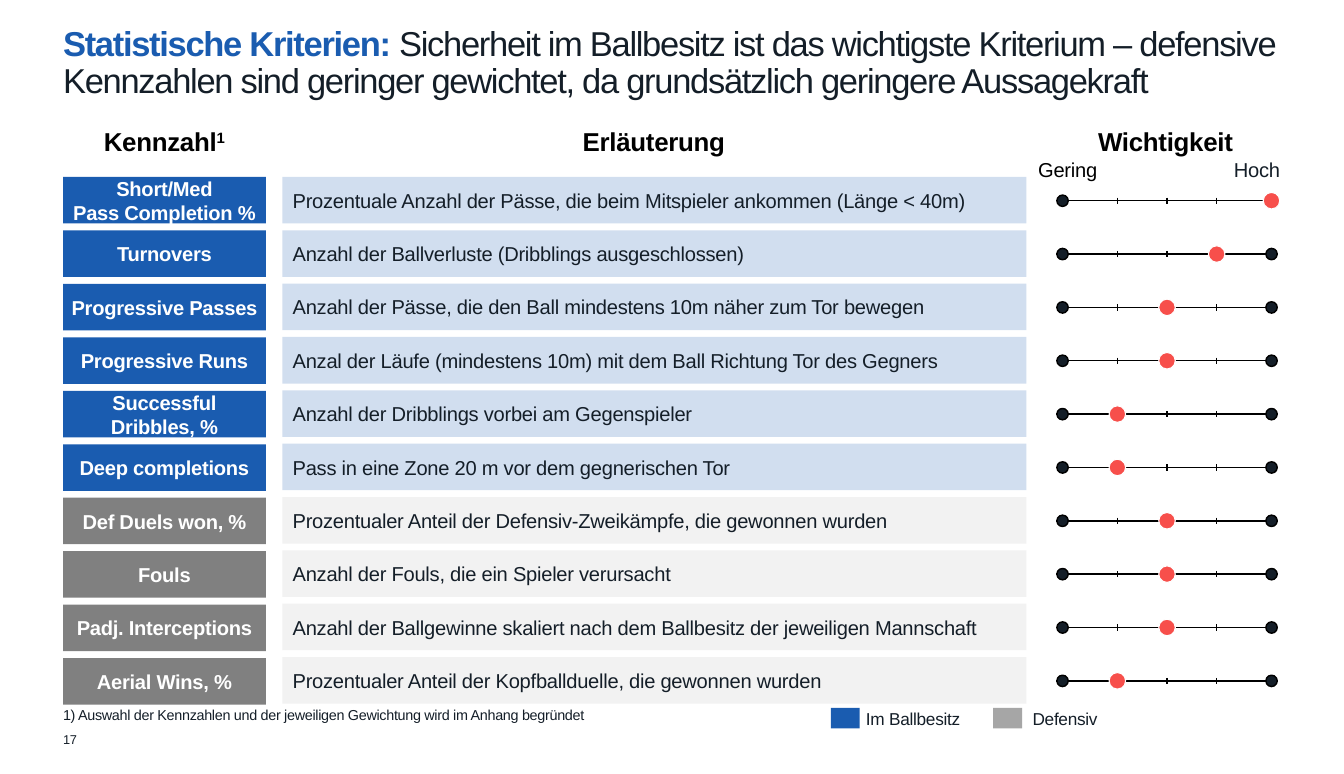
from copy import deepcopy

from lxml.etree import SubElement
from pptx import Presentation
from pptx.dml.color import RGBColor
from pptx.enum.shapes import MSO_CONNECTOR, MSO_SHAPE
from pptx.enum.text import MSO_ANCHOR, MSO_AUTO_SIZE, PP_ALIGN
from pptx.oxml.ns import qn
from pptx.util import Inches, Pt

BLUE, GREY, LIGHT_GREY, LEGEND_GREY = "1A5CB0", "808080", "BFBFBF", "A6A6A6"
INK, BLACK, WHITE, RED = "141E28", "000000", "FFFFFF", "F74F4B"

TITLE = [
    ("Statistische Kriterien: ", {"color": BLUE, "bold": True}),
    ("Sicherheit im Ballbesitz ist das wichtigste Kriterium – defensive Kennzahlen "
     "sind geringer gewichtet, da grundsätzlich geringere Aussagekraft", {}),
]
HEADERS = [  # left, width, text, superscript
    (0.61, 1.96, "Kennzahl", "1"),
    (2.73, 7.18, "Erläuterung", ""),
    (10.15, 2.23, "Wichtigkeit", ""),
]
POSSESSION, DEFENSIVE = (BLUE, BLUE), (GREY, LIGHT_GREY)  # label fill, explanation tint
CRITERIA = [  # label, explanation, importance (0 to 4), category
    ("Short/Med\vPass Completion %",
     "Prozentuale Anzahl der Pässe, die beim Mitspieler ankommen (Länge < 40m)", 4, POSSESSION),
    ("Turnovers", "Anzahl der Ballverluste (Dribblings ausgeschlossen)", 3, POSSESSION),
    ("Progressive Passes",
     "Anzahl der Pässe, die den Ball mindestens 10m näher zum Tor bewegen", 2, POSSESSION),
    ("Progressive Runs",
     "Anzal der Läufe (mindestens 10m) mit dem Ball Richtung Tor des Gegners", 2, POSSESSION),
    ("Successful\vDribbles, %", "Anzahl der Dribblings vorbei am Gegenspieler", 1, POSSESSION),
    ("Deep completions", "Pass in eine Zone 20 m vor dem gegnerischen Tor", 1, POSSESSION),
    ("Def Duels won, %",
     "Prozentualer Anteil der Defensiv-Zweikämpfe, die gewonnen wurden", 2, DEFENSIVE),
    ("Fouls", "Anzahl der Fouls, die ein Spieler verursacht", 2, DEFENSIVE),
    ("Padj. Interceptions",
     "Anzahl der Ballgewinne skaliert nach dem Ballbesitz der jeweiligen Mannschaft", 2, DEFENSIVE),
    ("Aerial Wins, %", "Prozentualer Anteil der Kopfballduelle, die gewonnen wurden", 1, DEFENSIVE),
]
SCALE_ENDS = [(10.25, "Gering", BLACK), (12.08, "Hoch", INK)]
LEGEND = [(8.03, 8.37, "Im Ballbesitz", BLUE), (9.6, 9.98, "Defensiv", LEGEND_GREY)]
FOOTNOTE = "1) Auswahl der Kennzahlen und der jeweiligen Gewichtung wird im Anhang begründet"

ROW_TOP, ROW_HEIGHT = 1.71, 0.45
LABEL_PITCH, ROW_PITCH = 4.65 / 9, 4.64 / 9
SCALE_Y, SCALE_LEFT, SCALE_RIGHT = 1.94, 10.21, 12.35
STOPS = [10.27, 10.8, 11.28, 11.76, 12.29]
END_DOT, MARKER = 0.11, 0.16


def rgb(color):
    return RGBColor.from_string(color)


def write(box, spans, insets=(0, 0, 0, 0), align=PP_ALIGN.LEFT, anchor=MSO_ANCHOR.TOP,
          wrap=True, line_spacing=None, spacing=-0.2, **base):
    """Fill the box with one paragraph; spans are (text, format changes) pairs."""
    frame = box.text_frame
    left, top, right, bottom = map(Inches, insets)
    settings = dict(margin_left=left, margin_top=top, margin_right=right, margin_bottom=bottom,
                    word_wrap=wrap, vertical_anchor=anchor, auto_size=MSO_AUTO_SIZE.NONE)
    for name, value in settings.items():
        setattr(frame, name, value)
    para = frame.paragraphs[0]
    para.alignment, para.space_before = align, Pt(0)
    if line_spacing:
        para.line_spacing = line_spacing
    for text, changes in spans:
        style = {"size": 14, "color": INK, "bold": False, "raised": False, **base, **changes}
        for number, line in enumerate(text.split("\v")):
            if number:
                para.add_line_break()
            span = para.add_run()
            span.text = line
            font = {"name": "Arial", "size": Pt(style["size"]), "bold": style["bold"]}
            for name, value in font.items():
                setattr(span.font, name, value)
            span.font.color.rgb = rgb(style["color"])
            properties = span._r.get_or_add_rPr()
            properties.set("spc", str(round(spacing * 100)))
            if style["raised"]:
                properties.set("baseline", "30000")
            for line_break in para._p.findall(qn("a:br")):
                if line_break.find(qn("a:rPr")) is None:
                    line_break.append(deepcopy(properties))


def add_filled(shapes, kind, at, fill, line=None, width=1, opacity=None):
    shape = shapes.add_shape(kind, *map(Inches, at))
    shape.shadow.inherit = False
    shape.fill.solid()
    shape.fill.fore_color.rgb = rgb(fill)
    if opacity:
        color = shape._element.spPr.find(".//" + qn("a:srgbClr"))
        SubElement(color, qn("a:alpha")).set("val", str(opacity * 1000))
    if line:
        shape.line.color.rgb = rgb(line)
        shape.line.width = Pt(width)
    else:
        shape.line.fill.background()
    return shape


def add_dot(shapes, x, y, size, *style):
    add_filled(shapes, MSO_SHAPE.OVAL, (x - size / 2, y - size / 2, size, size), *style)


def add_line(shapes, *ends):
    line = shapes.add_connector(MSO_CONNECTOR.STRAIGHT, *map(Inches, ends))
    line.line.color.rgb = rgb(BLACK)
    line.line.width = Pt(1)
    SubElement(line._element.spPr, qn("a:effectLst"))


def add_text(page, at, text, **style):
    write(page.shapes.add_textbox(*map(Inches, at)), [(text, {})], **style)


def add_scale(page, y):
    shapes = page.shapes.add_group_shape().shapes
    add_line(shapes, SCALE_LEFT, y, SCALE_RIGHT, y)
    for x in (STOPS[0], STOPS[-1]):
        add_dot(shapes, x, y, END_DOT, INK, BLACK)
    for x in STOPS[1:-1]:
        add_line(shapes, x, y - 0.03, x, y + 0.03)


def add_criterion(page, row, label, explanation, importance, category):
    label_fill, tint = category
    box = add_filled(page.shapes, MSO_SHAPE.RECTANGLE,
                     (0.61, ROW_TOP + row * LABEL_PITCH, 1.96, ROW_HEIGHT), label_fill)
    write(box, [(label, {})], insets=(0.04,) * 4, align=PP_ALIGN.CENTER,
          anchor=MSO_ANCHOR.MIDDLE, color=WHITE, bold=True)
    box = add_filled(page.shapes, MSO_SHAPE.RECTANGLE,
                     (2.73, ROW_TOP + row * ROW_PITCH, 7.19, ROW_HEIGHT), tint, opacity=20)
    write(box, [(explanation, {})], insets=(0.1, 0.04, 0.08, 0.04), anchor=MSO_ANCHOR.MIDDLE)
    y = SCALE_Y + row * ROW_PITCH
    add_scale(page, y)
    add_dot(page.shapes, STOPS[importance], y, MARKER, RED, WHITE, 0.75)


def main():
    deck = Presentation()
    deck.slide_width, deck.slide_height = Inches(12.99), Inches(7.48)
    page = deck.slides.add_slide(deck.slide_layouts[5])

    title = page.shapes.title
    title.left, title.top, title.width, title.height = map(Inches, (0.61, 0, 11.77, 1.24))
    write(title, TITLE, insets=(0, 0.26, 0, 0.25), line_spacing=0.9, spacing=-0.9, size=24)

    for left, width, text, mark in HEADERS:
        box = add_filled(page.shapes, MSO_SHAPE.RECTANGLE, (left, 1.21, width, 0.25), WHITE)
        spans = [(text, {})] + ([(mark, {"raised": True})] if mark else [])
        write(box, spans, align=PP_ALIGN.CENTER, size=18, color=BLACK, bold=True)
    for left, text, color in SCALE_ENDS:
        add_text(page, (left, 1.5, 0.14, 0.27), text, insets=(0.06,) * 4, wrap=False,
                 align=PP_ALIGN.CENTER, anchor=MSO_ANCHOR.MIDDLE, color=color)
    for row, criterion in enumerate(CRITERIA):
        add_criterion(page, row, *criterion)

    add_text(page, (0.61, 6.82, 7.3, 0.25), FOOTNOTE, size=10)
    for key_left, text_left, text, color in LEGEND:
        add_filled(page.shapes, MSO_SHAPE.RECTANGLE, (key_left, 6.84, 0.28, 0.2), color)
        add_text(page, (text_left, 6.84, 1.01, 0.25), text, size=12)
    add_text(page, (0.61, 6.81, 0.44, 0.67), "17", anchor=MSO_ANCHOR.MIDDLE, size=8.9)
    deck.save("out.pptx")


if __name__ == "__main__":
    main()
